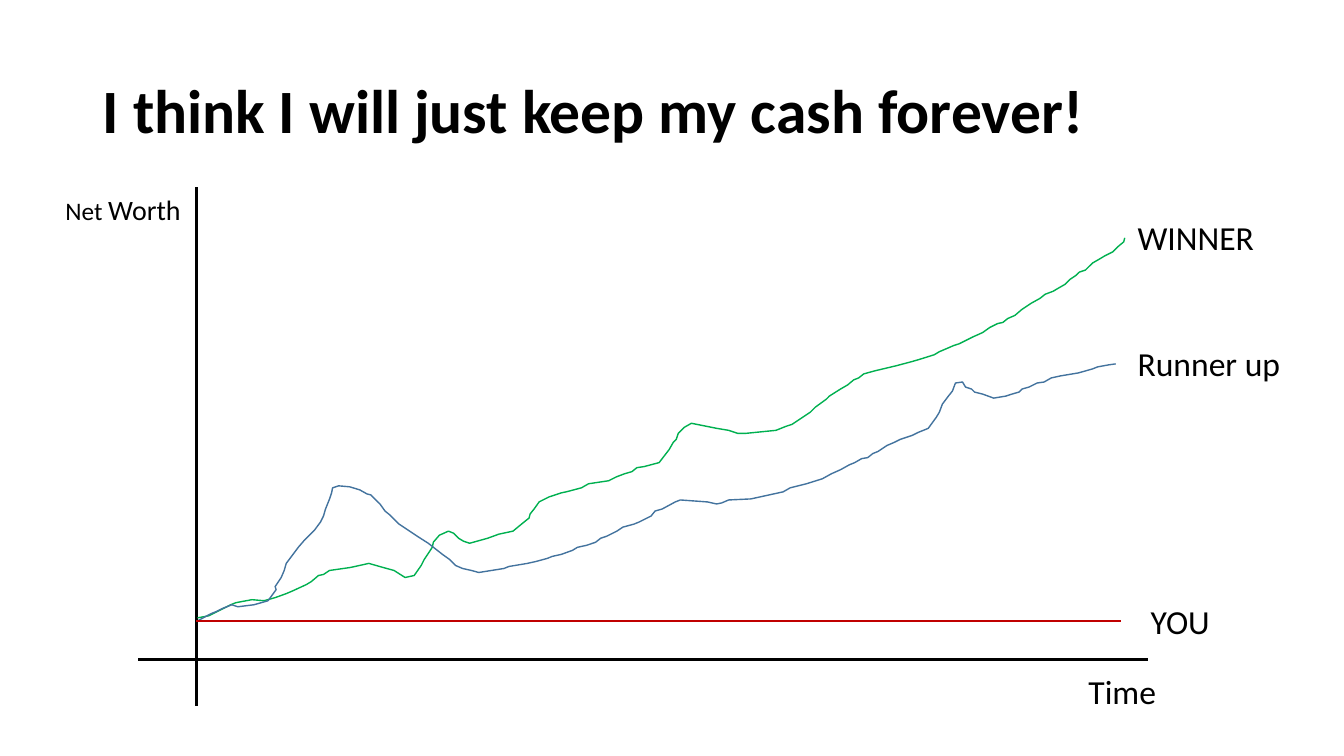
from dataclasses import dataclass

from lxml.etree import SubElement
from pptx import Presentation
from pptx.dml.color import RGBColor
from pptx.enum.shapes import MSO_CONNECTOR
from pptx.enum.text import MSO_ANCHOR, MSO_AUTO_SIZE
from pptx.oxml.ns import qn
from pptx.util import Cm, Pt


@dataclass(frozen=True)
class Theme:
    font: str = "Calibri"
    ink: str = "000000"
    winner: str = "00B050"
    runner_up: str = "43739E"
    you: str = "C00000"
    title: int = 44
    label: int = 24
    axis_big: int = 20
    axis_small: int = 18
    axis_line: float = 2
    curve_line: float = 1


THEME = Theme()

# Curve points are (x, y) steps of this grid, counted from the slide corner
GRID = Cm(0.0254)

WINNER_CURVE = [
    (196, 613), (207, 611), (221, 604), (229, 600), (234, 598), (250, 595),
    (262, 596), (273, 593), (284, 589), (291, 586), (304, 580), (309, 577),
    (316, 571), (321, 570), (327, 566), (341, 564), (348, 563), (366, 559),
    (380, 563), (391, 566), (402, 573), (411, 571), (418, 561), (421, 555),
    (429, 543), (430, 538), (436, 531), (445, 527), (450, 529), (455, 534),
    (460, 537), (466, 539), (484, 534), (495, 530), (509, 527), (520, 518),
    (525, 514), (526, 510), (530, 505), (535, 498), (545, 493), (557, 489),
    (562, 488), (577, 484), (584, 480), (604, 477), (612, 473), (620, 470),
    (627, 468), (632, 464), (639, 463), (654, 459), (664, 446), (668, 439),
    (671, 436), (673, 430), (679, 424), (686, 420), (711, 425), (723, 427),
    (732, 430), (740, 430), (770, 427), (780, 423), (786, 421), (798, 413),
    (804, 409), (809, 404), (820, 396), (823, 393), (834, 386), (841, 382),
    (847, 377), (852, 375), (857, 371), (868, 368), (889, 363), (904, 359),
    (911, 357), (927, 352), (932, 349), (939, 346), (946, 343), (952, 341),
    (966, 334), (975, 330), (982, 325), (990, 321), (995, 320), (1000, 316),
    (1007, 313), (1014, 307), (1023, 301), (1032, 296), (1037, 292),
    (1045, 289), (1050, 286), (1057, 282), (1062, 277), (1068, 273),
    (1071, 270), (1077, 268), (1084, 261), (1091, 257), (1096, 254),
    (1104, 250), (1109, 245), (1115, 240), (1116, 236),
]

RUNNER_UP_CURVE = [
    (196, 616), (209, 609), (214, 607), (220, 604), (230, 600), (236, 602),
    (252, 600), (266, 596), (274, 585), (273, 582), (275, 579), (279, 573),
    (282, 566), (284, 559), (296, 543), (302, 536), (312, 526), (318, 518),
    (321, 512), (323, 505), (327, 495), (329, 489), (330, 484), (336, 482),
    (347, 483), (357, 486), (364, 490), (368, 491), (377, 500), (382, 507),
    (387, 511), (396, 520), (414, 532), (425, 539), (439, 550), (446, 555),
    (452, 561), (459, 564), (468, 566), (475, 568), (500, 564), (505, 562),
    (523, 559), (532, 557), (543, 554), (548, 552), (557, 550), (568, 546),
    (573, 543), (582, 541), (591, 538), (596, 534), (602, 532), (612, 527),
    (618, 523), (629, 520), (634, 518), (646, 512), (650, 507), (657, 505),
    (670, 498), (675, 496), (702, 498), (711, 500), (716, 499), (723, 496),
    (745, 495), (777, 488), (784, 484), (800, 480), (816, 475), (825, 470),
    (834, 466), (843, 461), (848, 459), (855, 455), (861, 454), (866, 450),
    (871, 448), (880, 442), (887, 439), (893, 436), (905, 432), (911, 429),
    (921, 425), (929, 414), (932, 409), (935, 401), (941, 393), (945, 388),
    (948, 380), (955, 379), (958, 384), (964, 386), (967, 389), (975, 391),
    (986, 395), (998, 393), (1004, 391), (1011, 389), (1014, 386),
    (1021, 384), (1029, 380), (1036, 379), (1043, 375), (1052, 373),
    (1070, 370), (1084, 366), (1089, 364), (1100, 362), (1107, 361),
]


def add_text(s, box, runs, bold=False, wrap=False, anchor=MSO_ANCHOR.TOP):
    """Text box holding one paragraph of (text, size) runs."""
    tf = s.shapes.add_textbox(*(Cm(v) for v in box)).text_frame
    tf.word_wrap = wrap
    tf.auto_size = MSO_AUTO_SIZE.NONE if wrap else MSO_AUTO_SIZE.SHAPE_TO_FIT_TEXT
    tf.vertical_anchor = anchor
    p = tf.paragraphs[0]
    for text, size in runs:
        r = p.add_run()
        r.text = text
        r.font.name = THEME.font
        r.font.size = Pt(size)
        r.font.bold = bold
        r.font.color.rgb = RGBColor.from_string(THEME.ink)
    return p


def style_line(line, color, width):
    line.color.rgb = RGBColor.from_string(color)
    line.width = Pt(width)


def add_line(s, x1, y1, x2, y2, color, width):
    sp = s.shapes.add_connector(
        MSO_CONNECTOR.STRAIGHT, Cm(x1), Cm(y1), Cm(x2), Cm(y2))
    style_line(sp.line, color, width)
    SubElement(sp._element.spPr, qn("a:effectLst"))


def add_curve(s, points, color):
    builder = s.shapes.build_freeform(*points[0], scale=GRID)
    builder.add_line_segments(points[1:], close=False)
    sp = builder.convert_to_shape()
    sp.fill.background()
    sp.shadow.inherit = False
    style_line(sp.line, color, THEME.curve_line)


def main():
    prs = Presentation()
    prs.slide_width, prs.slide_height = Cm(33.87), Cm(19.05)
    s = prs.slides.add_slide(prs.slide_layouts[6])

    # Title
    p = add_text(s, (2.34, 1.02, 29.21, 3.68),
                 [("I think I will just keep my cash forever!", THEME.title)],
                 bold=True, wrap=True, anchor=MSO_ANCHOR.MIDDLE)
    p.line_spacing = 0.9

    # Axes and their names
    add_line(s, 4.95, 4.72, 4.95, 17.78, THEME.ink, THEME.axis_line)
    add_line(s, 3.48, 16.61, 28.93, 16.61, THEME.ink, THEME.axis_line)
    add_text(s, (1.4, 4.72, 3.45, 1.12),
             [("Net ", THEME.axis_small), ("Worth", THEME.axis_big)])
    add_text(s, (27.18, 16.79, 2.24, 1.27), [("Time", THEME.label)])

    # Net worth of each person
    add_curve(s, WINNER_CURVE, THEME.winner)
    add_curve(s, RUNNER_UP_CURVE, THEME.runner_up)
    add_line(s, 4.95, 15.65, 28.24, 15.65, THEME.you, THEME.curve_line)

    # Names at the ends of the curves
    for name, left, top, width in [("WINNER", 28.42, 5.33, 3.48),
                                   ("Runner up", 28.42, 8.51, 4.14),
                                   ("YOU", 28.75, 15.01, 2.01)]:
        add_text(s, (left, top, width, 1.27), [(name, THEME.label)])

    prs.save("out.pptx")


if __name__ == "__main__":
    main()
